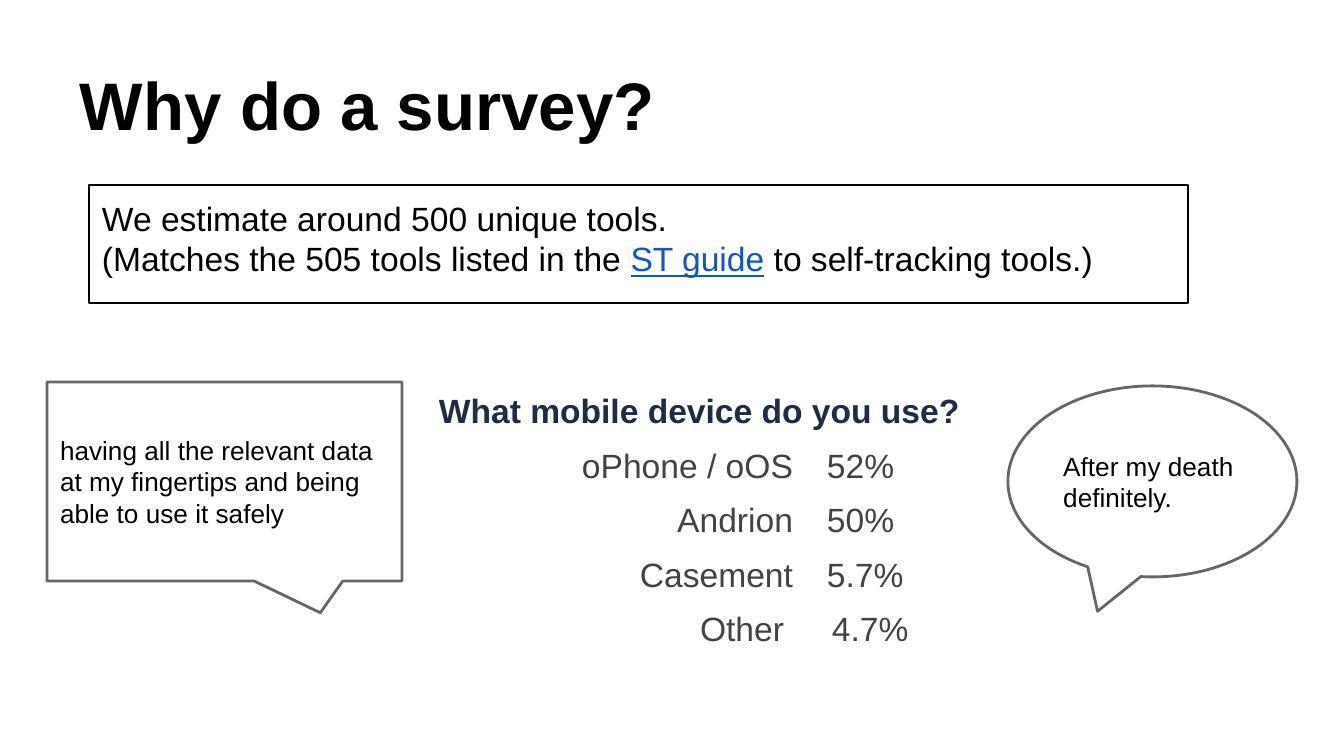
from pptx import Presentation
from pptx import util as u
from pptx.dml.color import RGBColor
from pptx.enum import shapes, text

PX = 914400 / 134.4
BLACK = RGBColor(0x00, 0x00, 0x00)
WHITE = RGBColor(0xFF, 0xFF, 0xFF)
GRAY = RGBColor(0x66, 0x66, 0x66)
DARK = RGBColor(0x43, 0x43, 0x43)
NAVY = RGBColor(0x1D, 0x2D, 0x45)
LINK = RGBColor(0x11, 0x55, 0xCC)
LEFT, RIGHT = text.PP_ALIGN.LEFT, text.PP_ALIGN.RIGHT
TOP, MIDDLE, BOTTOM = text.MSO_ANCHOR.TOP, text.MSO_ANCHOR.MIDDLE, text.MSO_ANCHOR.BOTTOM


def px(*lengths):
    return [u.Emu(round(length * PX)) for length in lengths]


def write(para, words, size=18, color=BLACK, bold=False, underline=False, align=LEFT, spacing=1.0):
    para.alignment = align
    para.line_spacing = spacing
    span = para.add_run()
    span.text = words
    span.font.name = "Arial"
    span.font.size = u.Pt(size)
    span.font.bold = bold
    span.font.underline = underline
    span.font.color.rgb = color


deck = Presentation()
deck.slide_width, deck.slide_height = px(1344, 756)
page = deck.slides.add_slide(deck.slide_layouts[6])

title = page.shapes.add_textbox(*px(67, 31, 1210, 126))
callout = page.shapes.add_shape(
    shapes.MSO_SHAPE.ROUNDED_RECTANGULAR_CALLOUT, *px(47, 382, 355, 199))
balloon = page.shapes.add_shape(shapes.MSO_SHAPE.OVAL_CALLOUT, *px(1008, 386, 289, 191))
estimate = page.shapes.add_shape(shapes.MSO_SHAPE.RECTANGLE, *px(89, 185, 1099, 118))

for box, anchor in ((title, BOTTOM), (callout, MIDDLE), (balloon, MIDDLE), (estimate, TOP)):
    frame = box.text_frame
    frame.word_wrap = True
    frame.vertical_anchor = anchor
    frame.margin_left, frame.margin_top, frame.margin_right, frame.margin_bottom = px(13, 13, 13, 13)

for box, color, width, adjustments in (
    (callout, GRAY, 1.5, (0.27, 0.66, 0)),
    (balloon, GRAY, 1.5, (-0.19, 0.68)),
    (estimate, BLACK, 0.75, ()),
):
    box.shadow.inherit = False
    box.fill.background()
    box.line.color.rgb = color
    box.line.width = u.Pt(width)
    for index, value in enumerate(adjustments):
        box.adjustments[index] = value

write(title.text_frame.paragraphs[0], "Why do a survey?", size=36, bold=True)
write(callout.text_frame.paragraphs[0],
      "having all the relevant data at my fingertips and being able to use it safely", size=14)
write(balloon.text_frame.paragraphs[0], "After my death definitely.", size=14)
write(estimate.text_frame.paragraphs[0], "We estimate around 500 unique tools.")
match = estimate.text_frame.add_paragraph()
write(match, "(Matches the 505 tools listed in the ")
write(match, "ST guide", color=LINK, underline=True)
write(match, " to self-tracking tools.)")

devices = (("oPhone / oOS", "52%"), ("Andrion", "50%"), ("Casement", "5.7%"), ("Other", "4.7%"))
table = page.shapes.add_table(len(devices) + 1, 2, *px(426, 382, 573, 270)).table
table.first_row = False
table.horz_banding = False
for column, width in zip(table.columns, px(382, 191)):
    column.width = width
for cell in table.iter_cells():
    cell.fill.solid()
    cell.fill.fore_color.rgb = WHITE
    cell.margin_top, cell.margin_bottom = px(4, 4)

header = table.cell(0, 0)
header.merge(table.cell(0, 1))
header.margin_left, header.margin_top, header.margin_bottom = px(13, 5, 5)
write(header.text_frame.paragraphs[0], "What mobile device do you use?",
      color=NAVY, bold=True, spacing=1.15)
for row, (device, share) in enumerate(devices, 1):
    name, value = table.cell(row, 0), table.cell(row, 1)
    last = row == len(devices)
    name.margin_right, value.margin_left = px(24 if last else 15, 24 if last else 19)
    write(name.text_frame.paragraphs[0], device, color=DARK, align=RIGHT, spacing=1.15)
    write(value.text_frame.paragraphs[0], share, color=DARK, spacing=1.15)

deck.save("out.pptx")
